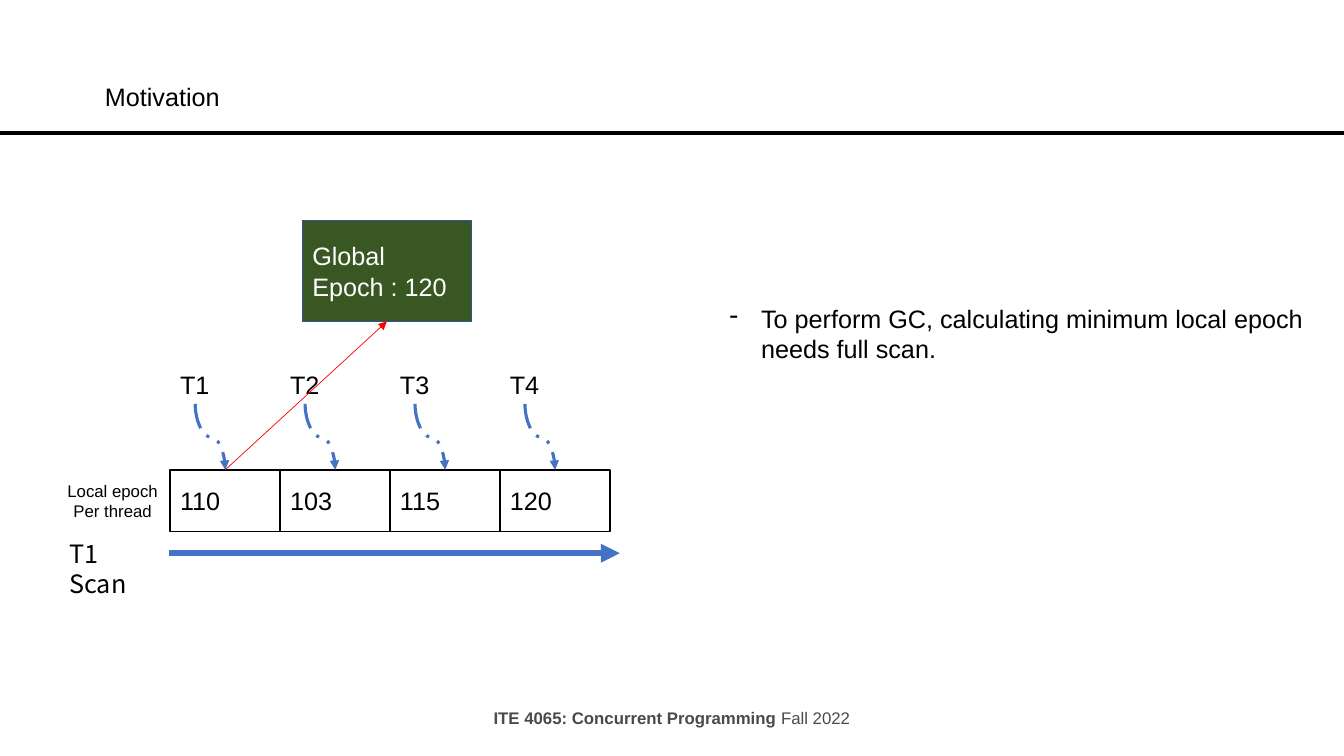
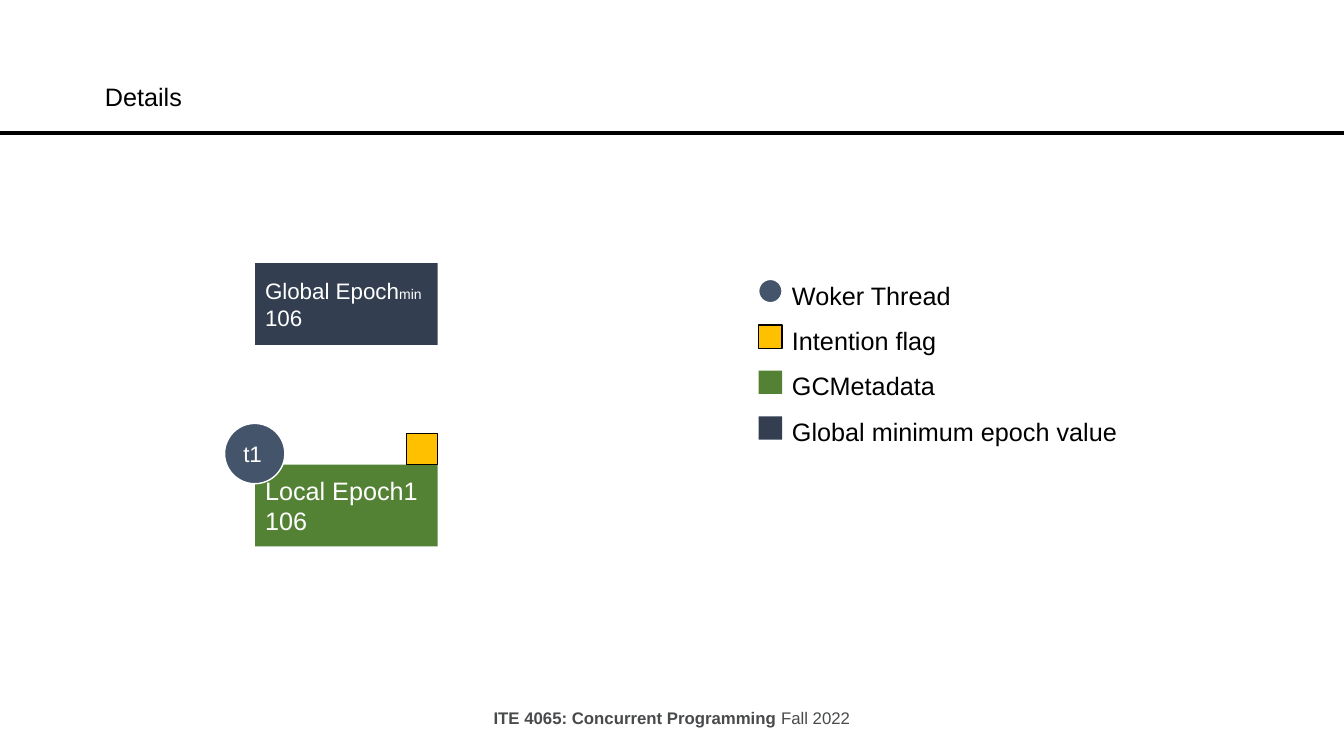
from pptx import Presentation
from pptx.dml.color import RGBColor
from pptx.enum.dml import MSO_LINE_DASH_STYLE as Dash
from pptx.enum.shapes import MSO_CONNECTOR as Connector, MSO_SHAPE as Shape
from pptx.enum.text import MSO_ANCHOR as Anchor, MSO_AUTO_SIZE as AutoSize, PP_ALIGN as Align
from pptx.oxml.ns import qn
from pptx.util import Cm, Pt
from lxml.etree import SubElement

COLORS = {
    "black": "000000", "white": "FFFFFF", "footer": "484A4C", "blue": "4472C4",
    "red": "FF0000", "forest": "385723", "outline": "325491", "green": "548235",
    "slate": "44546A", "navy": "333F50", "amber": "FFC000",
}
COLORS = {name: RGBColor.from_string(value) for name, value in COLORS.items()}
FONT = "Arial"


def add_box(shapes, kind, box, text="", size=18, color="black", fill=None, line=None, wrap=True):
    lengths = [Cm(value) for value in box]
    if kind is None:
        shape = shapes.add_textbox(*lengths)
    else:
        shape = shapes.add_shape(kind, *lengths)
        shape.shadow.inherit = False
        shape.text_frame.vertical_anchor = Anchor.MIDDLE
        if fill:
            shape.fill.solid()
            shape.fill.fore_color.rgb = COLORS[fill]
        else:
            shape.fill.background()
        if line:
            shape.line.color.rgb = COLORS[line]
            shape.line.width = Pt(1)
        else:
            shape.line.fill.background()
    if text:
        shape.text_frame.word_wrap = wrap
        shape.text_frame.text = text
        for paragraph in shape.text_frame.paragraphs:
            for run in paragraph.runs:
                run.font.name = FONT
                run.font.size = Pt(size)
                run.font.color.rgb = COLORS[color]
    return shape


def add_line(shapes, kind, points, color, width, arrow=True):
    connector = shapes.add_connector(kind, *[Cm(value) for value in points])
    connector.line.color.rgb = COLORS[color]
    connector.line.width = Pt(width)
    properties = connector._element.spPr
    if arrow:
        SubElement(properties.find(qn("a:ln")), qn("a:tailEnd"), type="triangle")
    SubElement(properties, qn("a:effectLst"))
    return connector


presentation = Presentation()
presentation.slide_width = Cm(33.87)
presentation.slide_height = Cm(19.05)

slides = []
for heading in ("Motivation", "Details"):
    slide = presentation.slides.add_slide(presentation.slide_layouts[5])
    slides.append(slide)
    title = slide.shapes.title
    title.left, title.top, title.width, title.height = Cm(2.39), Cm(1.93), Cm(14.22), Cm(1.02)
    title.text_frame.text = heading
    title.text_frame.auto_size = AutoSize.NONE
    title.text_frame.vertical_anchor = Anchor.TOP
    title.text_frame.paragraphs[0].alignment = Align.LEFT
    title_font = title.text_frame.paragraphs[0].runs[0].font
    title_font.name = FONT
    title_font.size = Pt(18)
    title_font.color.rgb = COLORS["black"]
    add_line(slide.shapes, Connector.STRAIGHT, (0, 3.35, 33.87, 3.35), "black", 3, arrow=False)
    footer = add_box(slide.shapes, None, (12.19, 17.7, 9.5, 0.77),
                     "ITE 4065: Concurrent Programming ", 12, "footer")
    course = footer.text_frame.paragraphs[0]
    course.runs[0].font.bold = True
    term = course.add_run()
    term.text = "Fall 2022"
    term.font.name = FONT
    term.font.size = Pt(12)
    term.font.color.rgb = COLORS["footer"]

motivation, details = slides

shapes = motivation.shapes
add_box(shapes, Shape.RECTANGLE, (7.62, 5.56, 4.27, 2.54), "Global Epoch : 120",
        color="white", fill="forest", line="outline")
cell_left, cell_top, cell_width, cell_height = 4.29, 11.84, 2.77, 1.55
for index, epoch in enumerate(("110", "103", "115", "120")):
    left = cell_left + index * cell_width
    thread = shapes.add_group_shape().shapes
    add_box(thread, Shape.RECTANGLE, (left, cell_top, cell_width, cell_height), epoch, line="black")
    add_box(thread, None, (left, 9.17, 1.27, 1.02), f"T{index + 1}", wrap=False)
    center_x, center_y = left + 1.01, 11.01
    curve = add_line(thread, Connector.CURVE,
                     (center_x + 0.83, center_y - 0.38, center_x - 0.83, center_y + 0.38),
                     "blue", 2.25)
    curve.line.dash_style = Dash.DASH_DOT_DOT
    curve._element.spPr.find(qn("a:xfrm")).set("rot", "16200000")
add_line(shapes, Connector.STRAIGHT, (cell_left + cell_width / 2, cell_top, 9.75, 8.1), "red", 0.5)
row_label = add_box(shapes, None, (1.42, 11.99, 2.84, 1.27), "Local epoch\nPer thread", 12, wrap=False)
for paragraph in row_label.text_frame.paragraphs:
    paragraph.alignment = Align.CENTER
add_line(shapes, Connector.STRAIGHT, (4.27, 13.94, 15.62, 13.94), "blue", 4.5)
scan_label = add_box(shapes, None, (1.5, 13.44, 2.79, 1.02), "T1 Scan")
scan_font = scan_label.text_frame.paragraphs[0].runs[0].font
scan_font.name = "Noto Sans CJK KR"
reason = add_box(shapes, None, (18.14, 7.52, 15.47, 1.8),
                 "To perform GC, calculating minimum local epoch needs full scan.")
bullet = reason.text_frame.paragraphs[0]._p.get_or_add_pPr()
bullet.set("marL", str(Cm(0.79)))
bullet.set("indent", str(-Cm(0.79)))
SubElement(bullet, qn("a:buChar"), char="-")

shapes = details.shapes
add_box(shapes, Shape.RECTANGLE, (6.43, 11.71, 4.6, 2.06), "Local Epoch1\n106",
        color="white", fill="green")
add_box(shapes, Shape.OVAL, (5.66, 10.67, 1.52, 1.52), "t1", 16, "white", "slate", "white")
add_box(shapes, Shape.RECTANGLE, (10.24, 10.92, 0.79, 0.79), fill="amber", line="black")
global_epoch = add_box(shapes, Shape.RECTANGLE, (6.43, 6.63, 4.6, 2.06), "Global Epoch\n106",
                       16, "white", "navy")
minimum = global_epoch.text_frame.paragraphs[0].add_run()
minimum.text = "min"
minimum.font.name = FONT
minimum.font.size = Pt(10)
minimum.font.color.rgb = COLORS["white"]

legend = (
    ("Woker Thread", Shape.OVAL, "slate", "white"),
    ("Intention flag", Shape.RECTANGLE, "amber", "black"),
    ("GCMetadata", Shape.RECTANGLE, "green", None),
    ("Global minimum epoch value", Shape.RECTANGLE, "navy", None),
)
for index, (label, kind, fill, line) in enumerate(legend):
    add_box(shapes, kind, (19.12, 7.04 + index * 1.15, 0.59, 0.59), fill=fill, line=line)
labels = add_box(shapes, None, (19.71, 6.55, 13.7, 4.72), "\n".join(entry[0] for entry in legend))
for paragraph in labels.text_frame.paragraphs:
    paragraph.line_spacing = 1.5

presentation.save("out.pptx")
